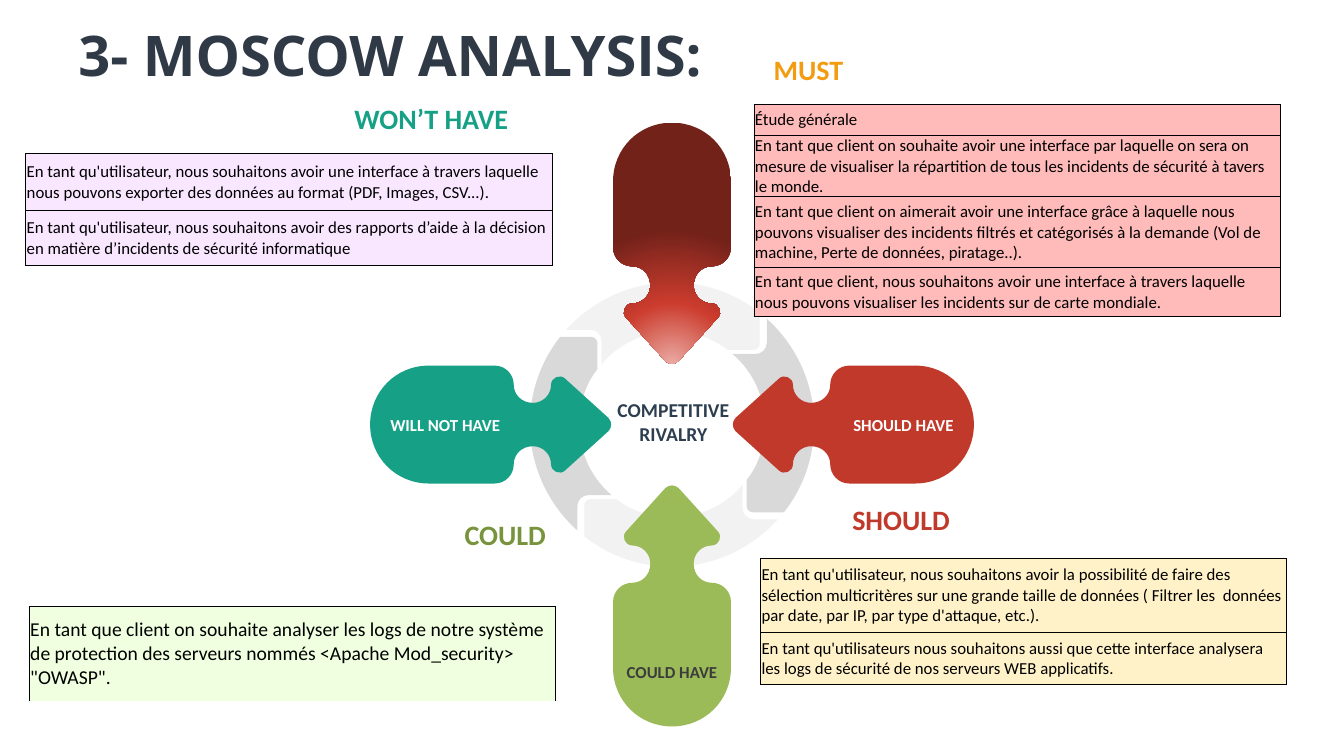
from dataclasses import dataclass

from lxml import etree
from pptx import Presentation
from pptx.dml.color import RGBColor
from pptx.enum.text import MSO_ANCHOR, PP_ALIGN
from pptx.oxml import parse_xml
from pptx.oxml.ns import nsdecls, qn
from pptx.util import Inches, Pt

LEFT, CENTER, RIGHT = PP_ALIGN.LEFT, PP_ALIGN.CENTER, PP_ALIGN.RIGHT
TOP, MIDDLE, BOTTOM = MSO_ANCHOR.TOP, MSO_ANCHOR.MIDDLE, MSO_ANCHOR.BOTTOM


@dataclass(frozen=True)
class Theme:
    title_font: str = "Open Sans"
    body_font: str = "Calibri"
    title_size: int = 40
    heading_size: int = 20
    hub_size: int = 14
    large_story_size: int = 14
    small_size: int = 12
    title: str = "2F3A46"
    hub: str = "2C3E50"
    white: str = "FFFFFF"
    black: str = "000000"
    dark_label: str = "3C3C3C"
    ring_dark: str = "D9D9D9"
    ring_light: str = "F2F2F2"
    teal: str = "16A085"
    red: str = "C0392B"
    green: str = "9BBB59"
    orange: str = "F39C12"
    olive: str = "77933C"
    pink: str = "FFBABA"
    yellow: str = "FFF2C9"
    lilac: str = "F9E6FF"
    mint: str = "F0FFE0"
    must_stops: tuple = ((0, "EBACA5"), (46, "CB3C2E"), (100, "73221A"))


THEME = Theme()
COLUMNS, ROWS = 133.33, 75
HUB_COLUMN, HUB_ROW = 66.67, 42.12
STORY_COLUMNS = 52.2

RIGHTWARD, UPWARD, LEFTWARD, DOWNWARD = (1, 0), (0, -1), (-1, 0), (0, 1)

ARM = [
    (6.3, 0.65), (10.6, 4.55),
    (11.1, 5.05, 12, 4.65, 12, 3.95), (12, 2.95, 12.8, 2.15, 13.8, 2.15),
    (14.9, 2.15, 15.7, 2.95, 15.7, 3.95), (15.7, 4.95, 16.5, 5.85, 17.6, 5.85),
    (24.1, 5.85), (27.4, 5.85, 29.95, 3.25, 29.95, 0),
    (29.95, -3.25, 27.4, -5.85, 24.1, -5.85), (17.6, -5.85),
    (16.5, -5.85, 15.7, -4.95, 15.7, -3.95), (15.7, -2.95, 14.9, -2.15, 13.8, -2.15),
    (12.8, -2.15, 12, -2.95, 12, -3.95), (12, -4.65, 11.1, -5.05, 10.6, -4.55),
    (6.3, -0.65), (5.95, -0.25, 5.95, 0.25, 6.3, 0.65),
]
RING_QUARTER = [
    (9.4, -8.1), (9.4, -7.5, 8.9, -7, 8.3, -7), (6, -7),
    (8, -5.3, 9.2, -2.8, 9.2, 0), (9.2, 2.1, 8.6, 4, 7.4, 5.5), (7.4, 8.1),
    (7.4, 8.4, 7.7, 8.7, 8, 8.7), (11.1, 8.7), (13, 6.3, 14.1, 3.3, 14.1, 0),
    (14.1, -4.1, 12.3, -7.9, 9.4, -10.5),
]


def grid(cells):
    return Inches(cells / 10)


def bend_curves(outline, steps):
    corners = list(outline.element.iter(qn("a:lnTo")))
    for step in steps:
        corner = corners.pop(0)
        if len(step) == 6:
            curve = etree.Element(qn("a:cubicBezTo"))
            corner.addprevious(curve)
            for part in (corner, corners.pop(0), corners.pop(0)):
                curve.append(part[0])
                part.getparent().remove(part)


def add_outline(slide, steps, direction, color=None):
    dx, dy = direction
    points = [step[i:i + 2] for step in steps for i in range(0, len(step), 2)]
    turned = [(grid(HUB_COLUMN + u * dx - v * dy), grid(HUB_ROW + u * dy + v * dx))
              for u, v in points]
    builder = slide.shapes.build_freeform(*turned[0])
    builder.add_line_segments(turned[1:])
    outline = builder.convert_to_shape()
    bend_curves(outline, steps[1:])
    outline.shadow.inherit = False
    outline.line.fill.background()
    if color:
        outline.fill.solid()
        outline.fill.fore_color.rgb = RGBColor.from_string(color)
    return outline


def write(frame, text, size, color, align=LEFT, anchor=MIDDLE, insets=None,
          bold=True, font=THEME.body_font):
    frame.word_wrap = True
    frame.vertical_anchor = anchor
    if insets:
        (frame.margin_left, frame.margin_top,
         frame.margin_right, frame.margin_bottom) = map(grid, insets)
    frame.text = text
    paragraph = frame.paragraphs[0]
    paragraph.alignment = align
    paragraph.font.name = font
    paragraph.font.size = Pt(size)
    paragraph.font.bold = bold
    paragraph.font.color.rgb = RGBColor.from_string(color)


def add_text(slide, area, text, size, color, **style):
    box = slide.shapes.add_textbox(*map(grid, area))
    write(box.text_frame, text, size, color, **style)


def add_heading(slide, column, row, text, color, align):
    add_text(slide, (column, row, 34.6, 4.4), text, THEME.heading_size, color,
             align=align, anchor=BOTTOM, insets=(0, 0.5, 1, 0.5))


def add_arm(slide, direction, label, color, label_color, **style):
    arm = add_outline(slide, ARM, direction, color)
    write(arm.text_frame, label, THEME.small_size, label_color, **style)


def add_glowing_arm(slide, direction, stops):
    arm = add_outline(slide, ARM, direction)
    arm.fill.gradient()
    gradient = arm.element.spPr.find(qn("a:gradFill"))
    marks = "".join(f'<a:gs pos="{share * 1000}"><a:srgbClr val="{color}"/></a:gs>'
                    for share, color in stops)
    glow = parse_xml(
        f'<a:gradFill {nsdecls("a")} rotWithShape="1"><a:gsLst>{marks}</a:gsLst>'
        '<a:path path="circle"><a:fillToRect l="50000" t="130000" r="50000" b="-30000"/>'
        '</a:path></a:gradFill>')
    gradient.getparent().replace(gradient, glow)


def add_border(cell, side, visible):
    edge = etree.SubElement(cell._tc.get_or_add_tcPr(), qn(f"a:{side}"), w=str(Pt(0.5)))
    if visible:
        paint = etree.SubElement(edge, qn("a:solidFill"))
        etree.SubElement(paint, qn("a:srgbClr"), val=THEME.black)
    else:
        etree.SubElement(edge, qn("a:noFill"))


def add_stories(slide, column, row, stories, color, size=THEME.small_size, closed=True):
    height = sum(rows for rows, _ in stories)
    table = slide.shapes.add_table(
        len(stories), 1, *map(grid, (column, row, STORY_COLUMNS, height))).table
    table.first_row = table.horz_banding = False
    for index, (rows, story) in enumerate(stories):
        table.rows[index].height = grid(rows)
        cell = table.cell(index, 0)
        for side in ("lnL", "lnR", "lnT", "lnB"):
            add_border(cell, side, closed or side != "lnB")
        cell.fill.solid()
        cell.fill.fore_color.rgb = RGBColor.from_string(color)
        write(cell.text_frame, story, size, THEME.black, bold=False)
        cell.vertical_anchor = MIDDLE
        cell.margin_left = cell.margin_right = cell.margin_top = grid(0.1)
        cell.margin_bottom = 0


def main():
    deck = Presentation()
    deck.slide_width, deck.slide_height = grid(COLUMNS), grid(ROWS)
    slide = deck.slides.add_slide(deck.slide_layouts[6])

    add_text(slide, (6.8, 1.5, 107.2, 7.7), "3- MOSCOW ANALYSIS:",
             THEME.title_size, THEME.title, font=THEME.title_font)

    for direction, color in ((RIGHTWARD, THEME.ring_dark), (UPWARD, THEME.ring_light),
                             (LEFTWARD, THEME.ring_dark), (DOWNWARD, THEME.ring_light)):
        add_outline(slide, RING_QUARTER, direction, color)

    add_arm(slide, LEFTWARD, "WILL NOT HAVE", THEME.teal, THEME.white,
            insets=(2, 0.4, 7.9, 0.4))
    add_arm(slide, RIGHTWARD, "SHOULD HAVE", THEME.red, THEME.white,
            align=RIGHT, insets=(7.9, 0.4, 2, 0.4))
    add_arm(slide, DOWNWARD, "COULD HAVE", THEME.green, THEME.dark_label,
            align=CENTER, anchor=BOTTOM, insets=(0.4, 0.4, 0.4, 4.4))
    add_glowing_arm(slide, UPWARD, THEME.must_stops)
    add_text(slide, (60.2, 39, 13.2, 5.7), "COMPETITIVE\vRIVALRY",
             THEME.hub_size, THEME.hub, align=CENTER, anchor=TOP)

    add_heading(slide, 76.75, 4.65, "MUST", THEME.orange, LEFT)
    add_heading(slide, 84.55, 49.3, "SHOULD", THEME.red, LEFT)
    add_heading(slide, 16.8, 9.5, "WON’T HAVE", THEME.teal, RIGHT)
    add_heading(slide, 20.55, 50.8, "COULD", THEME.olive, RIGHT)

    add_stories(slide, 74.8, 10.35, [
        (3.05, "Étude générale"),
        (5.2, "En tant que client on souhaite avoir une interface par laquelle on sera on mesure de visualiser la répartition de tous les incidents de sécurité à tavers le monde."),
        (7, "En tant que client on aimerait avoir une interface grâce à laquelle nous pouvons visualiser des incidents filtrés et catégorisés à la demande (Vol de machine, Perte de données, piratage..)."),
        (4.9, "En tant que client, nous souhaitons avoir une interface à travers laquelle nous pouvons visualiser les incidents sur de carte mondiale."),
    ], THEME.pink)
    add_stories(slide, 75.45, 55.4, [
        (7.3, "En tant qu'utilisateur, nous souhaitons avoir la possibilité de faire des sélection multicritères sur une grande taille de données ( Filtrer les  données par date, par IP, par type d'attaque, etc.)."),
        (5.2, "En tant qu'utilisateurs nous souhaitons aussi que cette interface analysera \vles logs de sécurité de nos serveurs WEB applicatifs."),
    ], THEME.yellow)
    add_stories(slide, 2.55, 15.25, [
        (5.6, "En tant qu'utilisateur, nous souhaitons avoir une interface à travers laquelle nous pouvons exporter des données au format (PDF, Images, CSV...)."),
        (5.5, "En tant qu'utilisateur, nous souhaitons avoir des rapports d’aide à la décision en matière d’incidents de sécurité informatique"),
    ], THEME.lilac)
    add_stories(slide, 2.9, 60.15, [
        (9.35, "En tant que client on souhaite analyser les logs de notre système de protection des serveurs nommés <Apache Mod_security> \"OWASP\"."),
    ], THEME.mint, size=THEME.large_story_size, closed=False)

    deck.save("out.pptx")


if __name__ == "__main__":
    main()
